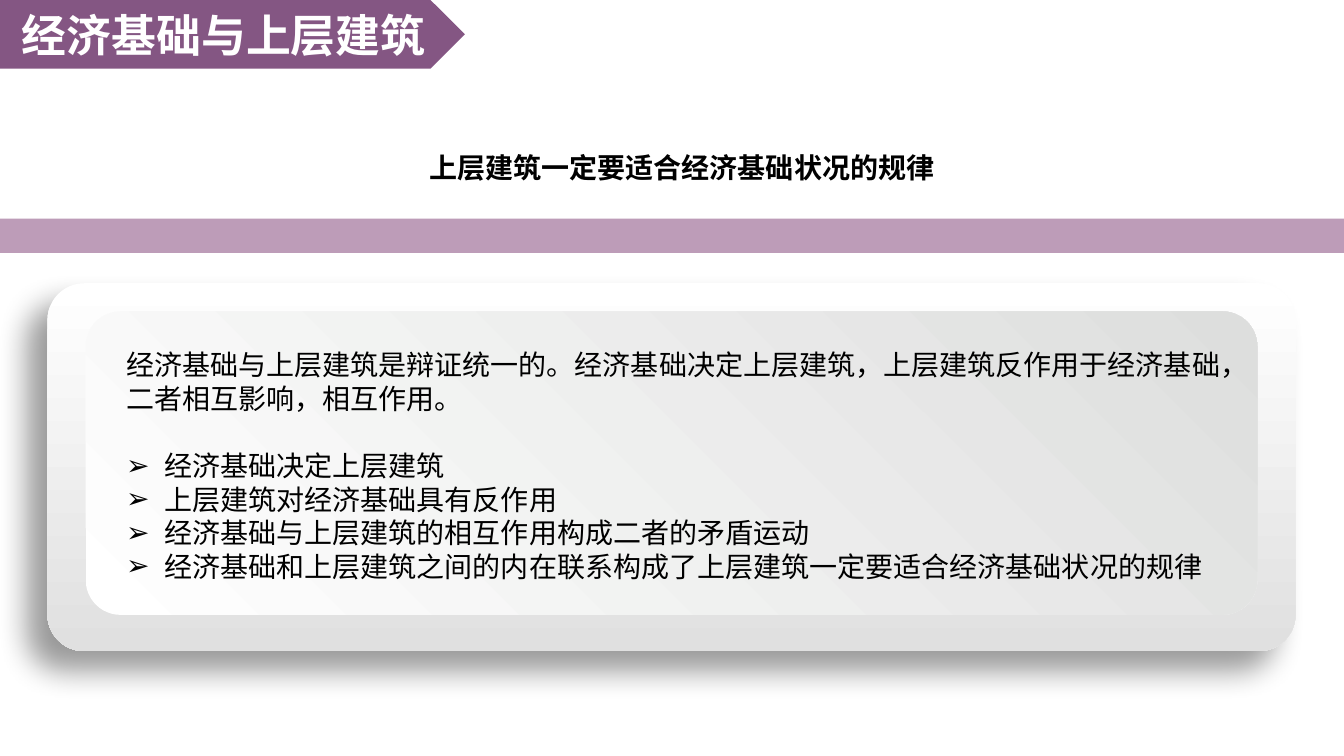
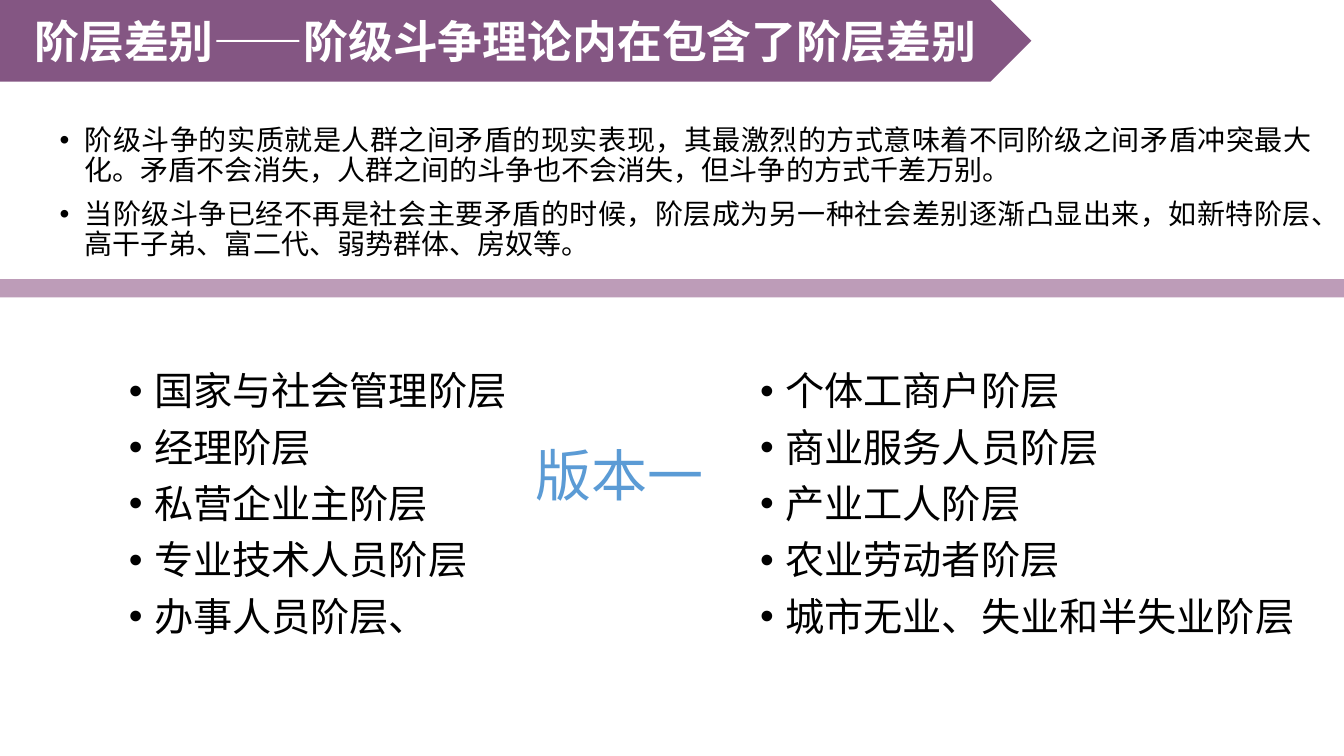
from copy import deepcopy
from dataclasses import dataclass

from lxml import etree
from pptx import Presentation
from pptx.dml.color import RGBColor
from pptx.enum.shapes import MSO_SHAPE
from pptx.enum.text import MSO_ANCHOR, MSO_AUTO_SIZE, PP_ALIGN
from pptx.oxml.ns import qn
from pptx.util import Inches, Pt

RECT = MSO_SHAPE.RECTANGLE
ROUND = MSO_SHAPE.ROUNDED_RECTANGLE
ARROW = MSO_SHAPE.PENTAGON
LEFT, CENTER, FULL = PP_ALIGN.LEFT, PP_ALIGN.CENTER, PP_ALIGN.JUSTIFY
TOP, MIDDLE = MSO_ANCHOR.TOP, MSO_ANCHOR.MIDDLE
FIXED = MSO_AUTO_SIZE.NONE
WIDTH, HEIGHT = 13.33, 7.5


@dataclass(frozen=True)
class Theme:
    font: str = "Noto Sans CJK SC"
    ink: str = "000000"
    white: str = "FFFFFF"
    banner: tuple = ("5A1B58", 74)
    band: tuple = ("6A1F5F", 44)
    outer: tuple = ("FFFFFF", "E0E0E0")
    inner: tuple = ("FFFFFF", "DDDEDD")
    blues: tuple = ("1F4E79", "5B9BD5", "9DC3E6")
    title: int = 32
    label: int = 40
    list: int = 28
    body: int = 20


def sub(parent, tag, **attrs):
    node = etree.SubElement(parent, qn(tag))
    for key, value in attrs.items():
        node.set(key, str(value))
    return node


def blend(fill, owner, colors, angle):
    """Fill with evenly spaced colours; angle runs counter-clockwise."""
    fill.gradient()
    fill.gradient_angle = angle
    stops = next(owner.iter(qn("a:gsLst")))
    while len(stops) < len(colors):
        stops.append(deepcopy(stops[0]))
    for i, (stop, color) in enumerate(zip(fill.gradient_stops, colors)):
        stop.color.rgb = RGBColor.from_string(color)
        stop.position = i / (len(colors) - 1)


class Deck:
    def __init__(self, theme):
        self.theme = theme
        self.file = Presentation()
        self.file.slide_width = Inches(WIDTH)
        self.file.slide_height = Inches(HEIGHT)
        self.page = None

    def start(self):
        self.page = self.file.slides.add_slide(self.file.slide_layouts[1])

    def shape(self, kind, box):
        item = self.page.shapes.add_shape(kind, *map(Inches, box))
        item.shadow.inherit = False
        item.line.fill.background()
        return item

    def tint(self, kind, box, paint):
        """Draw a shape in a colour of the given opacity in percent."""
        color, alpha = paint
        item = self.shape(kind, box)
        item.fill.solid()
        item.fill.fore_color.rgb = RGBColor.from_string(color)
        tone = next(item.element.spPr.iter(qn("a:srgbClr")))
        sub(tone, "a:alpha", val=alpha * 1000)

    def band(self, top, height):
        self.tint(RECT, (0, top, WIDTH, height), self.theme.band)

    def card(self, box, inset):
        """Draw a raised panel with a second panel inside it."""
        left, top, width, height = box
        side, head, foot = inset
        panel = self.shape(ROUND, box)
        panel.adjustments[0] = 0.1
        blend(panel.fill, panel.element, self.theme.outer, 270)
        effects = panel.element.spPr.find(qn("a:effectLst"))
        shade = sub(effects, "a:outerShdw", blurRad=Pt(22), dist=Pt(20),
                    dir=135 * 60000, algn="tr", rotWithShape=0)
        sub(sub(shade, "a:srgbClr", val=self.theme.ink), "a:alpha", val=40000)
        face = self.shape(ROUND, (left + side, top + head,
                                  width - 2 * side, height - head - foot))
        face.adjustments[0] = 0.115
        blend(face.fill, face.element, self.theme.inner, 45)
        self.page.shapes.add_group_shape([panel, face])

    def place(self, holder, box, anchor=TOP):
        """Move a placeholder to the front and into its box."""
        self.page.shapes.element.append(holder.element)
        holder.left, holder.top, holder.width, holder.height = map(Inches, box)
        return self.frame(holder, anchor)

    def frame(self, item, anchor=TOP, wrap=True):
        frame = item.text_frame
        frame.word_wrap = wrap
        frame.auto_size = FIXED
        frame.vertical_anchor = anchor
        return frame

    def box(self, box, wrap=True):
        item = self.page.shapes.add_textbox(*map(Inches, box))
        return self.frame(item, wrap=wrap)

    def text(self, frame, words, size, color=None, bold=False, align=LEFT,
             mark=None, indent=0.25, space=0, pitch=1.0):
        """Add one paragraph, with a bullet if mark is given."""
        para = frame.paragraphs[0]
        first = not para.runs
        if not first:
            para = frame.add_paragraph()
        props = para._p.get_or_add_pPr()
        hang = Inches(indent) if mark else 0
        props.set("marL", str(hang))
        props.set("indent", str(-hang))
        if mark:
            sub(props, "a:buFont", typeface="Arial")
            sub(props, "a:buChar", char=mark)
        else:
            sub(props, "a:buNone")
        para.alignment = align
        para.line_spacing = pitch
        para.space_before = Pt(0 if first else space)
        run = para.add_run()
        run.text = words
        font = run.font
        font.size, font.bold = Pt(size), bold
        font.color.rgb = RGBColor.from_string(color or self.theme.ink)
        font.name = self.theme.font
        sub(run._r.get_or_add_rPr(), "a:ea", typeface=self.theme.font)
        return run

    def title(self, words, width, height):
        self.tint(ARROW, (0, 0, width, height), self.theme.banner)
        area = (0, 0, width - height / 4, height)
        frame = self.place(self.page.shapes.title, area, MIDDLE)
        self.text(frame, words, self.theme.title, self.theme.white, True, CENTER)

    def body(self, box):
        return self.place(self.page.placeholders[1], box)

    def bullets(self, frame, lines, size, align=LEFT):
        for line in lines:
            self.text(frame, line, size, align=align, mark="•",
                      space=10, pitch=0.9)


def base(deck):
    theme = deck.theme
    deck.start()
    deck.card((0.47, 2.81, 12.38, 3.65), (0.38, 0.28, 0.36))
    deck.band(2.17, 0.34)
    deck.title("经济基础与上层建筑", 4.61, 0.68)
    head = deck.box((4.16, 1.44, 5.25, 0.44), wrap=False)
    deck.text(head, "上层建筑一定要适合经济基础状况的规律", theme.body, bold=True)
    frame = deck.body((1.15, 3.4, 11.28, 2.46))
    deck.text(frame, "经济基础与上层建筑是辩证统一的。经济基础决定上层建筑，"
              "上层建筑反作用于经济基础，二者相互影响，相互作用。", theme.body)
    points = (
        "经济基础决定上层建筑",
        "上层建筑对经济基础具有反作用",
        "经济基础与上层建筑的相互作用构成二者的矛盾运动",
        "经济基础和上层建筑之间的内在联系构成了上层建筑一定要适合经济基础状况的规律",
    )
    for i, point in enumerate(points):
        deck.text(frame, point, theme.body, mark="➢", indent=0.38,
                  space=0 if i else 24)


def strata(deck):
    theme = deck.theme
    deck.start()
    frame = deck.body((0.49, 1.2, 12.62, 1.57))
    deck.bullets(frame, (
        "阶级斗争的实质就是人群之间矛盾的现实表现，其最激烈的方式意味着不同阶级之间矛盾冲突最大化。"
        "矛盾不会消失，人群之间的斗争也不会消失，但斗争的方式千差万别。",
        "当阶级斗争已经不再是社会主要矛盾的时候，阶层成为另一种社会差别逐渐凸显出来，"
        "如新特阶层、高干子弟、富二代、弱势群体、房奴等。",
    ), theme.body, FULL)
    deck.title("阶层差别——阶级斗争理论内在包含了阶层差别", 10.23, 0.81)
    deck.band(2.77, 0.18)
    label = deck.box((4.86, 4.32, 2.57, 0.77))
    run = deck.text(label, "版本一", theme.label, align=CENTER)
    blend(run.font.fill, run._r, theme.blues, 270)
    columns = (
        (1.18, 4.3, ("国家与社会管理阶层", "经理阶层", "私营企业主阶层",
                     "专业技术人员阶层", "办事人员阶层、")),
        (7.44, 5.58, ("个体工商户阶层", "商业服务人员阶层", "产业工人阶层",
                      "农业劳动者阶层", "城市无业、失业和半失业阶层")),
    )
    for left, width, lines in columns:
        deck.bullets(deck.box((left, 3.64, width, 2.89)), lines, theme.list)


def main():
    deck = Deck(Theme())
    base(deck)
    strata(deck)
    deck.file.save("out.pptx")


if __name__ == "__main__":
    main()
